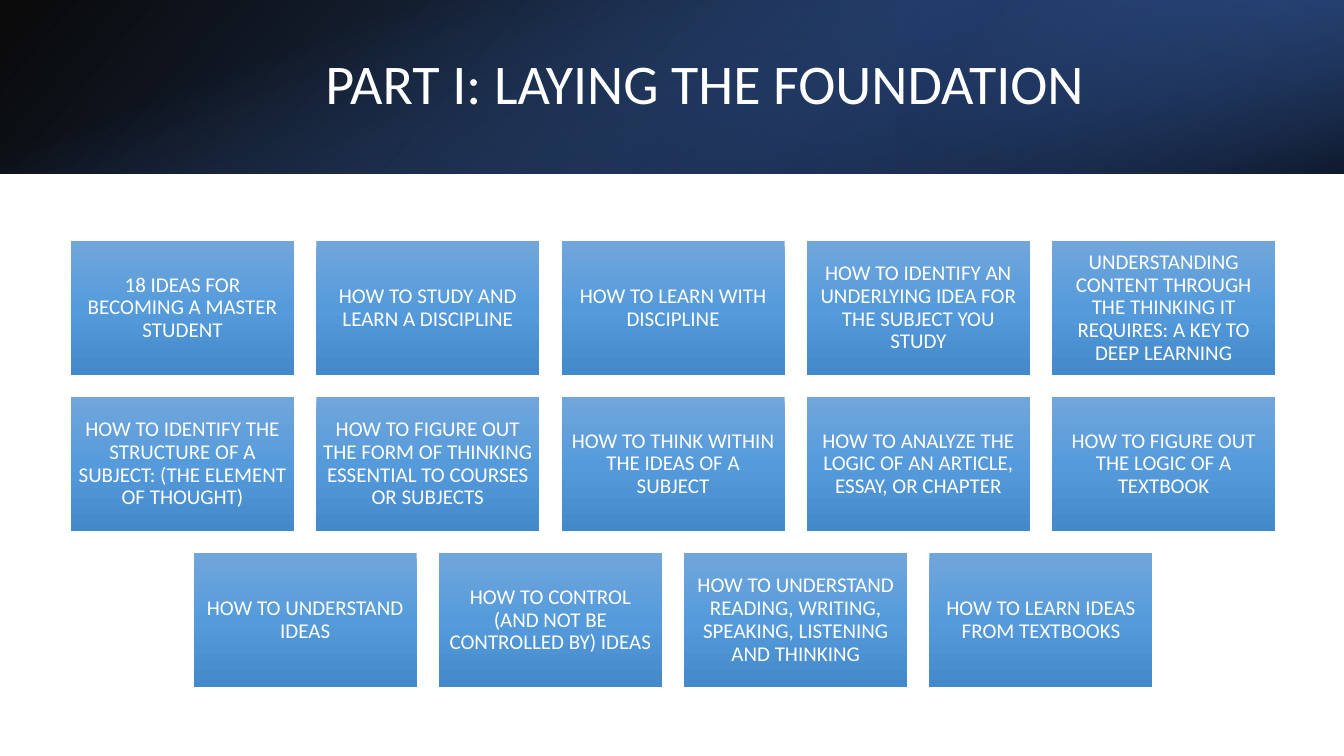
from dataclasses import dataclass

from pptx import Presentation, oxml
from pptx.dml import color
from pptx.enum import shapes, text
from pptx.oxml import ns
from pptx.util import Pt


# Theme: colours, type and gradients
@dataclass(frozen=True)
class Stop:
    position: int
    rgb: str
    opacity: int = 100


@dataclass(frozen=True)
class Gradient:
    angle: int
    stops: tuple[Stop, ...]


@dataclass(frozen=True)
class Theme:
    font: str = "Calibri"
    title_size: int = 40
    card_size: int = 15
    text_rgb: str = "FFFFFF"
    line_spacing: float = 0.9
    card_fill: Gradient = Gradient(
        90, (Stop(0, "71A6DB"), Stop(50, "559BDB"), Stop(100, "448ACA")))
    band_base: Gradient = Gradient(
        140, (Stop(0, "000000", 96), Stop(100, "2F5597")))
    band_right: Gradient = Gradient(
        320, (Stop(19, "203864", 68), Stop(100, "4472C4", 79)))
    band_shade: Gradient = Gradient(
        340, (Stop(23, "4472C4", 0), Stop(99, "000000", 74)))


@dataclass(frozen=True)
class Box:
    left: float
    top: float
    width: float
    height: float
    fill: Gradient
    rotation: int = 0
    flip: bool = False


THEME = Theme()
SLIDE_W, SLIDE_H, BAND_H = 960, 540, 124

BANDS = (
    Box(0, 0, SLIDE_W, BAND_H, THEME.band_base, flip=True),
    Box(640, 0, 320, BAND_H, THEME.band_right, rotation=180, flip=True),
    Box((SLIDE_W - BAND_H) / 2, (BAND_H - SLIDE_W) / 2, BAND_H, SLIDE_W,
        THEME.band_shade, rotation=90),
)

# Card grid: each row is centred on the same axis
CARD_W, CARD_H, GAP = 159.3, 95.6, 15.9
GRID_CENTRE, GRID_TOP = 480.8, 172.2
INSET = 4.5

CARD_ROWS = (
    ("18 IDEAS FOR BECOMING A MASTER STUDENT",
     "HOW TO STUDY AND LEARN A DISCIPLINE",
     "HOW TO LEARN WITH DISCIPLINE",
     "HOW TO IDENTIFY AN UNDERLYING IDEA FOR THE SUBJECT YOU STUDY",
     "UNDERSTANDING CONTENT THROUGH THE THINKING IT REQUIRES: A KEY TO DEEP LEARNING"),
    ("HOW TO IDENTIFY THE STRUCTURE OF A SUBJECT: (THE ELEMENT OF THOUGHT)",
     "HOW TO FIGURE OUT THE FORM OF THINKING ESSENTIAL TO COURSES OR SUBJECTS",
     "HOW TO THINK WITHIN THE IDEAS OF A SUBJECT",
     "HOW TO ANALYZE THE LOGIC OF AN ARTICLE, ESSAY, OR CHAPTER",
     "HOW TO FIGURE OUT THE LOGIC OF A TEXTBOOK"),
    ("HOW TO UNDERSTAND IDEAS",
     "HOW TO CONTROL (AND NOT BE CONTROLLED BY) IDEAS",
     "HOW TO UNDERSTAND READING, WRITING, SPEAKING, LISTENING AND THINKING",
     "HOW TO LEARN IDEAS FROM TEXTBOOKS"),
)


def set_gradient(sp, gradient: Gradient) -> None:
    stops = "".join(
        f'<a:gs pos="{s.position * 1000}"><a:srgbClr val="{s.rgb}">'
        f'<a:alpha val="{s.opacity * 1000}"/></a:srgbClr></a:gs>'
        for s in gradient.stops)
    fill = oxml.parse_xml(
        f'<a:gradFill {ns.nsdecls("a")} rotWithShape="1"><a:gsLst>{stops}</a:gsLst>'
        f'<a:lin ang="{gradient.angle * 60000}" scaled="0"/></a:gradFill>')
    sp.element.spPr.find(ns.qn("a:prstGeom")).addnext(fill)


def add_box(slide, box: Box):
    sp = slide.shapes.add_shape(
        shapes.MSO_SHAPE.RECTANGLE,
        Pt(box.left), Pt(box.top), Pt(box.width), Pt(box.height))
    sp.shadow.inherit = False
    sp.line.fill.background()
    set_gradient(sp, box.fill)
    sp.rotation = box.rotation
    if box.flip:
        sp.element.spPr.find(ns.qn("a:xfrm")).set("flipH", "1")
    return sp


def write_text(sp, words: str, size: int) -> None:
    tf = sp.text_frame
    tf.word_wrap = True
    tf.auto_size = text.MSO_AUTO_SIZE.NONE
    tf.vertical_anchor = text.MSO_ANCHOR.MIDDLE
    p = tf.paragraphs[0]
    p.alignment = text.PP_ALIGN.CENTER
    p.line_spacing = THEME.line_spacing
    r = p.add_run()
    r.text = words
    r.font.name = THEME.font
    r.font.size = Pt(size)
    r.font.color.rgb = color.RGBColor.from_string(THEME.text_rgb)


def add_card(slide, left: float, top: float, words: str) -> None:
    sp = add_box(slide, Box(left, top, CARD_W, CARD_H, THEME.card_fill))
    tf = sp.text_frame
    tf.margin_left = tf.margin_right = tf.margin_top = tf.margin_bottom = Pt(INSET)
    write_text(sp, words, THEME.card_size)


def main() -> None:
    prs = Presentation()
    prs.slide_width, prs.slide_height = Pt(SLIDE_W), Pt(SLIDE_H)
    slide = prs.slides.add_slide(prs.slide_layouts.get_by_name("Title Only"))

    # Header band
    for band in BANDS:
        add_box(slide, band)

    # Title, brought in front of the band
    title = slide.shapes.title
    title.left, title.top, title.width, title.height = Pt(108), Pt(27.4), Pt(790.6), Pt(69)
    write_text(title, "PART I: LAYING THE FOUNDATION", THEME.title_size)
    slide.shapes.element.append(title.element)

    # Cards
    for row, topics in enumerate(CARD_ROWS):
        row_width = len(topics) * (CARD_W + GAP) - GAP
        for column, topic in enumerate(topics):
            left = GRID_CENTRE - row_width / 2 + column * (CARD_W + GAP)
            add_card(slide, left, GRID_TOP + row * (CARD_H + GAP), topic)

    prs.save("out.pptx")


if __name__ == "__main__":
    main()
